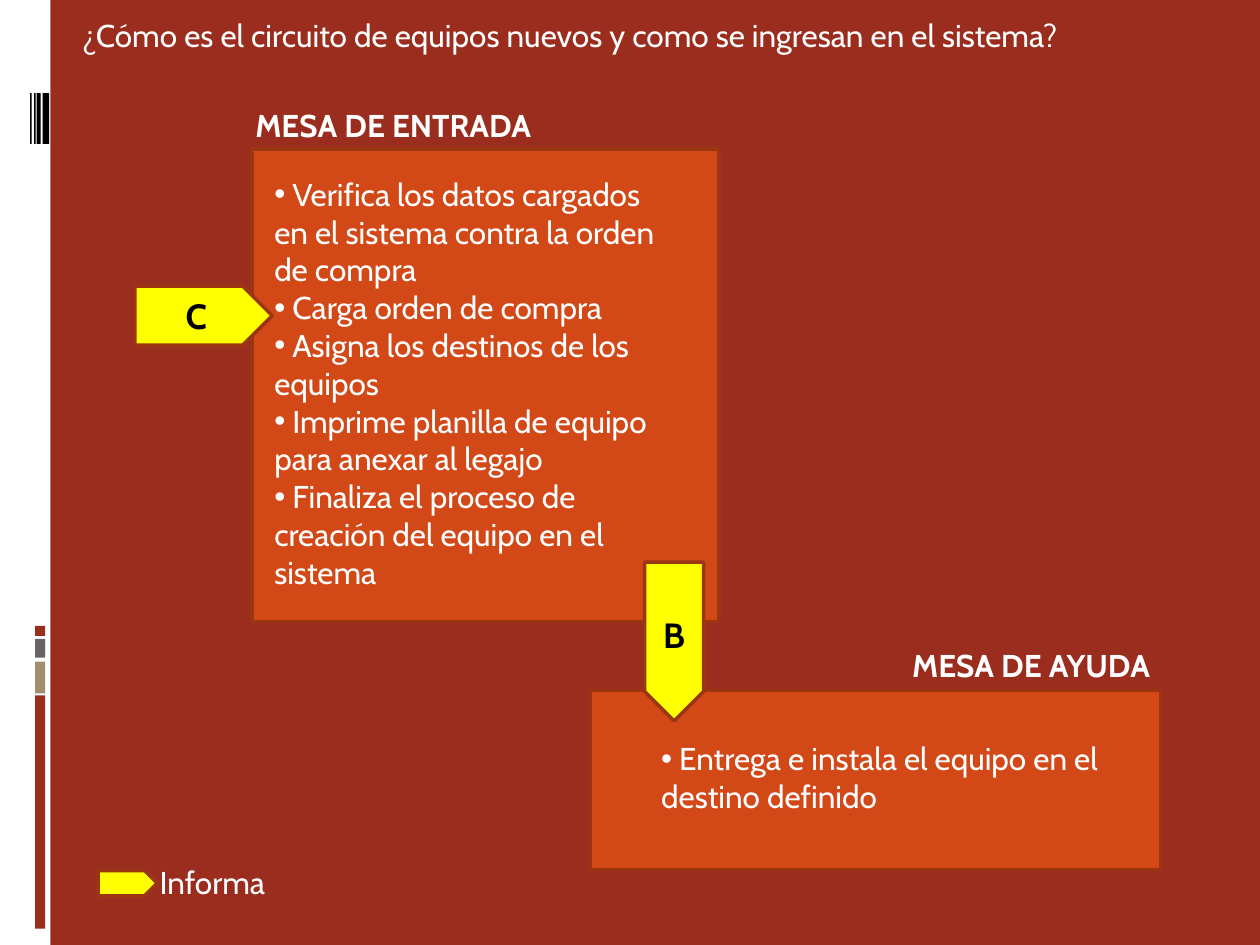
from dataclasses import dataclass

from pptx import Presentation
from pptx import util as u
from pptx.dml.color import RGBColor
from pptx.enum import shapes, text
from pptx.oxml.ns import qn
from lxml import etree

FONT = "Cabin"
RUST, ORANGE, EDGE = "9B2D1F", "D34817", "9C3511"
WHITE, BLACK, YELLOW = "FFFFFF", "000000", "FFFF00"
RECT = shapes.MSO_SHAPE.RECTANGLE
PENTAGON = shapes.MSO_SHAPE.PENTAGON


@dataclass
class Block:
    """A filled shape; lengths are in centimetres."""
    left: float
    top: float
    width: float
    height: float
    fill: str
    edge: str = ""
    kind: shapes.MSO_SHAPE = RECT
    label: str = ""
    rotation: int = 0


@dataclass
class Caption:
    """A text box with one or more paragraphs."""
    left: float
    top: float
    width: float
    height: float
    lines: tuple[str, ...]
    bold: bool = False
    bullets: bool = False


def paint(colour_format, colour: str) -> None:
    colour_format.rgb = RGBColor.from_string(colour)


def place(item: Block | Caption) -> tuple:
    return tuple(u.Cm(n) for n in (item.left, item.top, item.width, item.height))


def write(para, words: str, colour: str, size: int, bold: bool) -> None:
    span = para.add_run()
    span.text = words
    for name, value in {"name": FONT, "size": u.Pt(size), "bold": bold}.items():
        setattr(span.font, name, value)
    paint(span.font.color, colour)


def add_bullet(para) -> None:
    properties = para._p.get_or_add_pPr()
    properties.set("marL", "0")
    properties.set("indent", "0")
    etree.SubElement(properties, qn("a:buFont")).set("typeface", "Arial")
    etree.SubElement(properties, qn("a:buChar")).set("char", "•")


def draw_block(page, block: Block) -> None:
    box = page.shapes.add_shape(block.kind, *place(block))
    box.shadow.inherit = False
    box.rotation = block.rotation
    box.fill.solid()
    paint(box.fill.fore_color, block.fill)
    if block.edge:
        paint(box.line.color, block.edge)
        box.line.width = u.Pt(2)
    else:
        box.line.fill.background()
    if block.label:
        frame = box.text_frame
        frame.vertical_anchor = text.MSO_ANCHOR.MIDDLE
        if block.rotation == 90:  # keep the letter upright
            frame._txBody.bodyPr.set("vert", "vert270")
        para = frame.paragraphs[0]
        para.alignment = text.PP_ALIGN.CENTER
        write(para, block.label, BLACK, 20, True)


def draw_caption(page, caption: Caption) -> None:
    frame = page.shapes.add_textbox(*place(caption)).text_frame
    settings = {"word_wrap": True, "auto_size": text.MSO_AUTO_SIZE.SHAPE_TO_FIT_TEXT}
    for name, value in settings.items():
        setattr(frame, name, value)
    for index, line in enumerate(caption.lines):
        para = frame.add_paragraph() if index else frame.paragraphs[0]
        if caption.bullets:
            add_bullet(para)
            line = " " + line
        write(para, line, WHITE, 18, caption.bold)


# Side strip with its colour bars and thin black stripes
STRIP = [Block(0, 0, 1.02, 19.05, WHITE)]
STRIP += [Block(0.71, top, 0.2, height, fill) for top, height, fill in (
    (14.02, 4.7, RUST), (13.34, 0.64, "A28E6A"),
    (12.88, 0.38, "696464"), (12.62, 0.2, RUST))]
STRIP += [Block(left, 1.88, width, 1.02, BLACK) for left, width in (
    (0.86, 0.13), (0.74, 0.08), (0.69, 0.03), (0.61, 0.03))]

# Circuit: title, two desks, arrows and legend, from back to front
CIRCUIT = [
    Caption(1.4, 0.2, 22.23, 1.02, (
        "¿Cómo es el circuito de equipos nuevos y como se ingresan en el sistema?",)),
    Block(5.08, 3, 9.42, 9.53, ORANGE, EDGE),
    Caption(4.9, 2.01, 7.75, 1.02, ("MESA DE ENTRADA",), bold=True),
    Caption(5.28, 3.4, 8.59, 8.71, (
        "Verifica los datos cargados en el sistema contra la orden de compra",
        "Carga orden de compra",
        "Asigna los destinos de los equipos",
        "Imprime planilla de equipo para anexar al legajo",
        "Finaliza el proceso de creación del equipo en el sistema"), bullets=True),
    Block(1.98, 17.55, 1.19, 0.51, YELLOW, EDGE, PENTAGON),
    Block(2.72, 5.77, 2.77, 1.19, YELLOW, EDGE, PENTAGON, "C"),
    Caption(2.97, 17.27, 2.77, 1.02, ("Informa",)),
    Block(11.89, 13.92, 11.51, 3.61, ORANGE, EDGE),
    Caption(18.14, 12.9, 5.77, 1.02, ("MESA DE AYUDA",), bold=True),
    Caption(13.08, 14.78, 9.42, 1.8, (
        "Entrega e instala el equipo en el destino definido",), bullets=True),
    Block(11.99, 12.34, 3.2, 1.19, YELLOW, EDGE, PENTAGON, "B", rotation=90),
]


def main() -> None:
    deck = Presentation()
    deck.slide_width, deck.slide_height = u.Cm(25.4), u.Cm(19.05)
    page = deck.slides.add_slide(deck.slide_layouts[6])
    page.background.fill.solid()
    paint(page.background.fill.fore_color, RUST)
    for item in STRIP + CIRCUIT:
        draw = draw_block if isinstance(item, Block) else draw_caption
        draw(page, item)
    deck.save("out.pptx")


if __name__ == "__main__":
    main()
